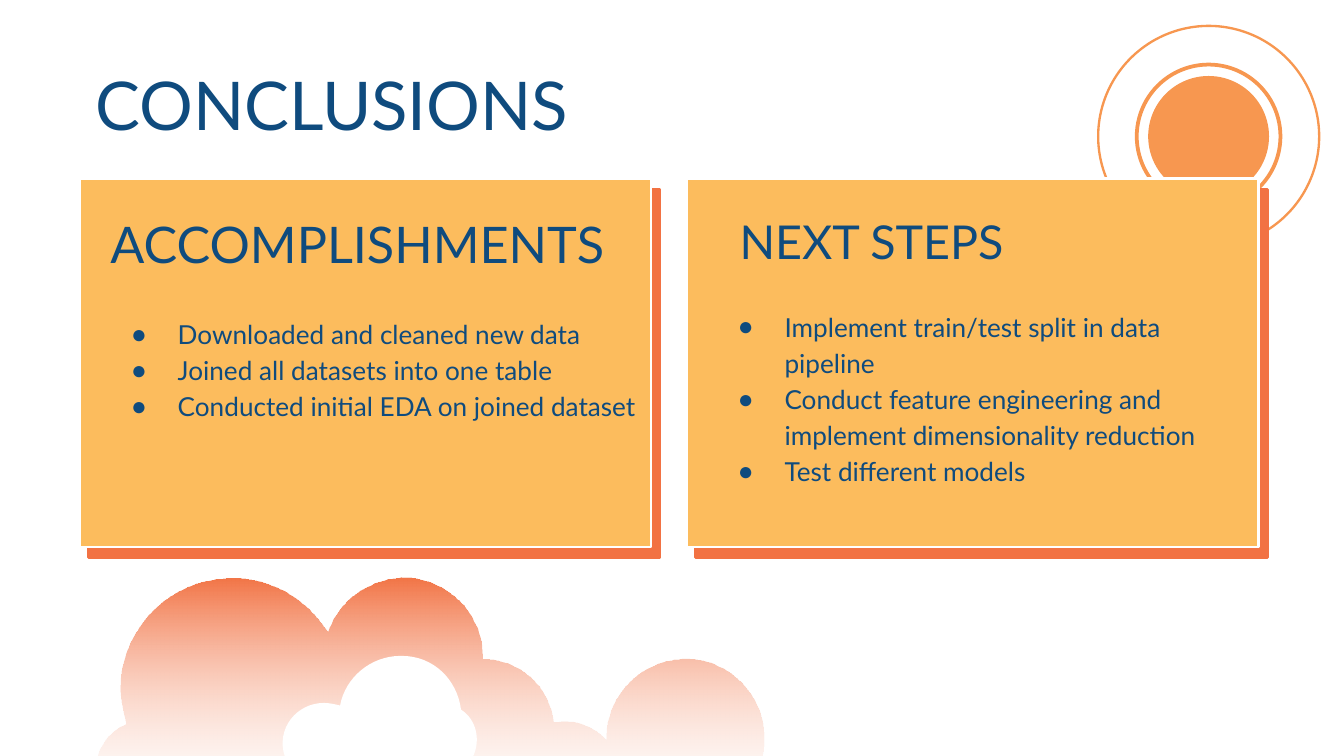
from lxml import etree
from pptx import Presentation
from pptx.dml.color import RGBColor
from pptx.enum.shapes import MSO_SHAPE
from pptx.enum.text import MSO_ANCHOR, MSO_AUTO_SIZE, PP_ALIGN
from pptx.oxml.ns import qn
from pptx.util import Pt

RECT, OVAL = MSO_SHAPE.RECTANGLE, MSO_SHAPE.OVAL
TOP, MIDDLE = MSO_ANCHOR.TOP, MSO_ANCHOR.MIDDLE
LEFT = PP_ALIGN.LEFT
FIXED = MSO_AUTO_SIZE.NONE

FONT = "Lato"
NAVY, SAND, CORAL, SUN, WHITE = "0F4B7E", "FCBC5D", "F27243", "F79750", "FFFFFF"

# Outlines in points: a start, then curves (six numbers) or lines (two)
CLOUD = [
    (398.9, 422.6),
    (406.1, 414.7, 409.7, 404.6, 409, 393.8),
    (409, 372.2, 391.7, 354.2, 369.4, 352.8),
    (345.6, 351.4, 324.7, 370.8, 324.7, 394.6),
    (324.7, 396),
    (317.5, 388.1, 306.7, 384.5, 296.6, 386.6),
    (294.5, 367.2, 277.9, 352.8, 258.5, 352.8),
    (258.5, 351.4),
    (258.5, 330.5, 243.4, 313.2, 222.5, 309.6),
    (202.3, 306.7, 182.2, 319, 175.7, 338.4),
    (164.2, 319.7, 143.3, 308.2, 121, 309.6),
    (91.4, 311, 67.7, 334.1, 64.8, 363.6),
    (64.1, 371.5, 65.5, 379.4, 67.7, 387.4),
    (51.1, 394.6, 45.4, 416.2, 57.6, 429.8),
    (35.3, 431.3, 20.2, 435.6, 20.2, 439.9),
    (20.2, 445.7, 426.2, 447.1, 426.2, 437),
    (426.2, 431.3, 415.4, 425.5, 398.9, 422.6),
]
PUFF = [
    (214.6, 351.4),
    (198.7, 351.4, 185, 362.9, 182.2, 378),
    (179.3, 377.3, 176.4, 376.6, 173.5, 376.6),
    (159.1, 376.6, 147.6, 390.2, 152.6, 405.4),
    (144, 405.4, 137.5, 409, 137.5, 412.6),
    (137.5, 416.9, 145.4, 420.5, 155.5, 420.5),
    (173.5, 420.5),
    (187.2, 416.9, 195.1, 415.4, 203, 415.4),
    (249.1, 416.2),
    (263.5, 416.2, 275.8, 414, 275.8, 410.4),
    (275.8, 408.2, 266.4, 405.4, 253.4, 405.4),
    (257.8, 396, 254.9, 385.2, 247, 380.2),
    (244.8, 363.6, 231.8, 351.4, 215.3, 351.4),
]


def color(code):
    return RGBColor.from_string(code)


def node(parent, tag, **attrs):
    item = etree.SubElement(parent, qn(tag))
    for key, value in attrs.items():
        item.set(key, str(value))
    return item


def paint(shape, fill=None, line=None, width=0.75):
    shape.shadow.inherit = False
    if fill:
        shape.fill.solid()
        shape.fill.fore_color.rgb = color(fill)
    else:
        shape.fill.background()
    if line:
        shape.line.color.rgb = color(line)
        shape.line.width = Pt(width)
    else:
        shape.line.fill.background()


def bend(shape, steps):
    """Join each run of three line steps into one cubic curve."""
    lines = iter(shape.element.xpath(".//a:lnTo"))
    for step in steps:
        first = next(lines)
        if len(step) == 6:
            first.tag = qn("a:cubicBezTo")
            for extra in (next(lines), next(lines)):
                first.append(extra[0])
                extra.getparent().remove(extra)


def add_cloud(slide, steps):
    spots = [(Pt(x), Pt(y)) for step in steps
             for x, y in zip(step[::2], step[1::2])]
    pen = slide.shapes.build_freeform(*spots[0])
    pen.add_line_segments(spots[1:], close=True)
    cloud = pen.convert_to_shape()
    bend(cloud, steps[1:])
    paint(cloud, WHITE)
    return cloud


def fade(shape, code):
    """Fade from a colour at the top to clear white at the bottom."""
    shape.fill.gradient()
    shape.fill.gradient_angle = 270
    for stop, tone in zip(shape.fill.gradient_stops, (code, WHITE)):
        stop.color.rgb = color(tone)
    last = shape.element.xpath(".//a:gs/a:srgbClr")[-1]
    node(last, "a:alpha", val=0)


def add_ring(slide, size, width, fill=None, mid=(647.5, 73.1)):
    left, top = (Pt(spot - size / 2) for spot in mid)
    ring = slide.shapes.add_shape(OVAL, left, top, Pt(size), Pt(size))
    paint(ring, fill, SUN, width)


def add_card(slide, left):
    card = slide.shapes.add_shape(RECT, Pt(left), Pt(95.7), Pt(306.2), Pt(197.4))
    paint(card, SAND, WHITE, 1.5)
    # Hard offset shadow
    effects = card.element.spPr.find(qn("a:effectLst"))
    cast = node(effects, "a:outerShdw", blurRad=0, dist=Pt(7.5),
                dir=50 * 60000, algn="bl", rotWithShape=0)
    node(cast, "a:srgbClr", val=CORAL)


def add_bullet(para):
    props = para._p.get_or_add_pPr()
    props.set("marL", str(Pt(36)))
    props.set("indent", str(Pt(-25)))
    node(node(props, "a:buClr"), "a:srgbClr", val=NAVY)
    node(props, "a:buChar", char="●")


def put_text(slide, slot, box, lines, size=14, anchor=TOP, space=1.0, bullet=False):
    holder = slide.placeholders[slot]
    holder.left, holder.top, holder.width, holder.height = map(Pt, box)
    slide.shapes.element.append(holder.element)  # bring to front
    frame = holder.text_frame
    frame.text = "\n".join(lines)
    frame.word_wrap = True
    frame.auto_size = FIXED
    frame.vertical_anchor = anchor
    frame.margin_left = frame.margin_right = Pt(7.2)
    frame.margin_top = frame.margin_bottom = Pt(7.2)
    for para in frame.paragraphs:
        para.alignment = LEFT
        para.line_spacing = space
        para.space_before = para.space_after = Pt(0)
        if bullet:
            add_bullet(para)
        font = para.runs[0].font
        font.name, font.size, font.bold = FONT, Pt(size), False
        font.color.rgb = color(NAVY)


def main():
    deck = Presentation()
    deck.slide_width, deck.slide_height = Pt(720), Pt(405)
    slide = deck.slides.add_slide(deck.slide_layouts[4])

    # Clouds and sun
    fade(add_cloud(slide, CLOUD), CORAL)
    add_ring(slide, 77, 2)
    add_ring(slide, 118.4, 1.25)
    add_ring(slide, 64, 0.75, SUN)
    add_cloud(slide, PUFF)

    # Cards
    for left in (42.6, 367.9):
        add_card(slide, left)

    # Title and card text
    put_text(slide, 0, (43.9, 26.2, 607, 58.3), ["CONCLUSIONS"], size=36, anchor=MIDDLE)
    put_text(slide, 1, (52, 107, 288, 38.9), ["ACCOMPLISHMENTS"], size=27)
    put_text(slide, 3, (389, 107, 200.2, 38.9), ["NEXT STEPS"], size=25)
    put_text(slide, 2, (52, 161, 300.2, 117.4), [
        "Downloaded and cleaned new data",
        "Joined all datasets into one table",
        "Conducted initial EDA on joined dataset",
    ], space=1.15, bullet=True)
    put_text(slide, 4, (377.1, 157, 293.8, 117.4), [
        "Implement train/test split in data pipeline",
        "Conduct feature engineering and implement dimensionality reduction",
        "Test different models",
    ], space=1.15, bullet=True)

    deck.save("out.pptx")


if __name__ == "__main__":
    main()
